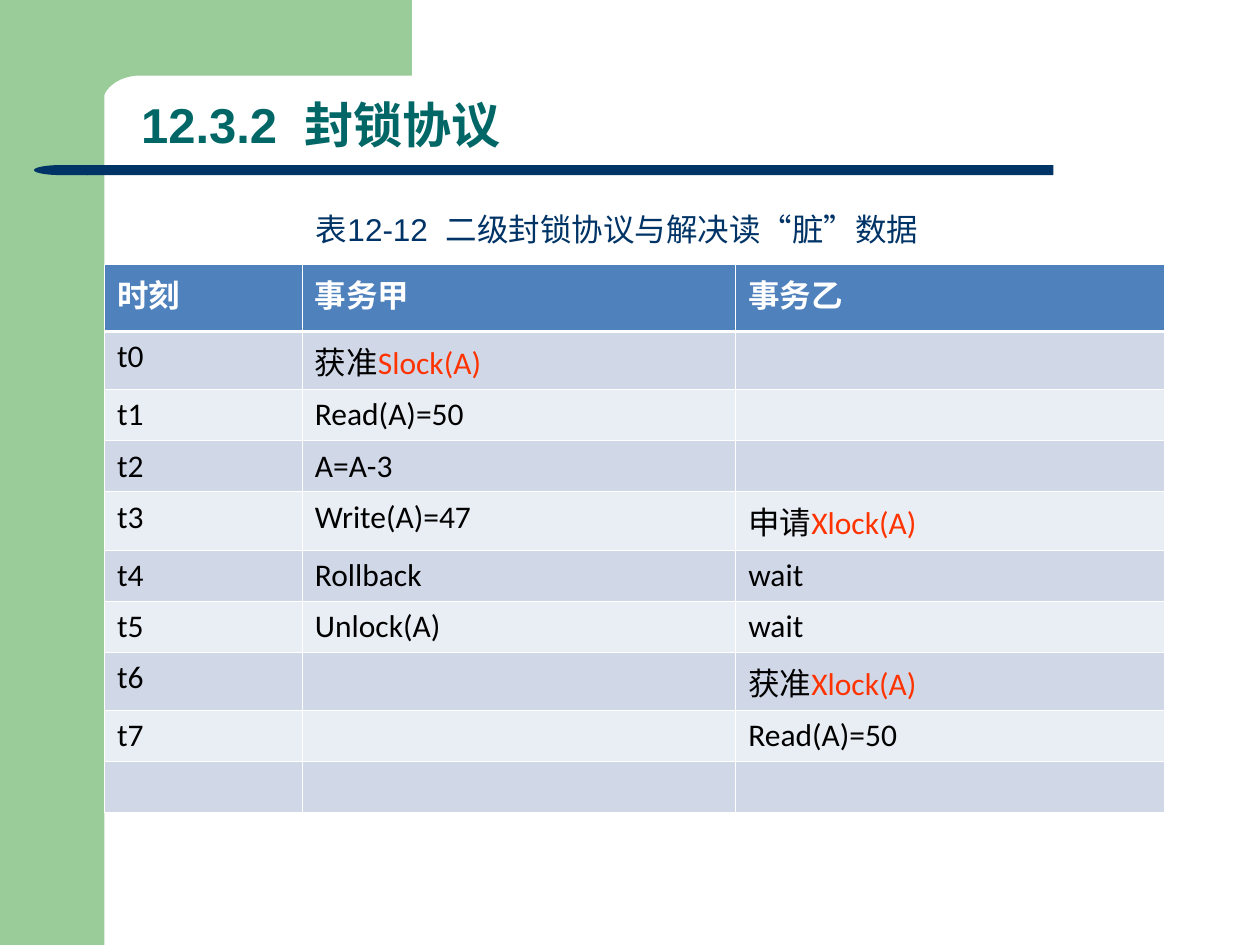
import math

from lxml import etree
from pptx import Presentation
from pptx.dml.color import RGBColor
from pptx.enum.shapes import MSO_SHAPE
from pptx.enum.text import MSO_ANCHOR, MSO_AUTO_SIZE, PP_ALIGN
from pptx.oxml.ns import qn
from pptx.util import Inches, Pt

RECTANGLE = MSO_SHAPE.RECTANGLE
ROUNDED = MSO_SHAPE.ROUNDED_RECTANGLE
DELAY = MSO_SHAPE.FLOWCHART_DELAY
BOTTOM = MSO_ANCHOR.BOTTOM
LEFT = PP_ALIGN.LEFT
FIXED = MSO_AUTO_SIZE.NONE
GROW = MSO_AUTO_SIZE.SHAPE_TO_FIT_TEXT

WIDTH, HEIGHT = Inches(10), Inches(7.5)
COLUMNS, ROWS = 100, 75
GREEN, NAVY, TEAL, WHITE = "99CC99", "003366", "006666", "FFFFFF"
BLACK, RED, HEADER = "000000", "FF3300", "4F81BD"
BANDS = ["D0D8E8", "E9EDF4"]

TITLE = "12.3.2  封锁协议"
CAPTION = "表12-12  二级封锁协议与解决读“脏”数据"
SCHEDULE = [
    ["时刻", "事务甲", "事务乙"],
    ["t0", "获准|Slock(A)", ""],
    ["t1", "Read(A)=50", ""],
    ["t2", "A=A-3", ""],
    ["t3", "Write(A)=47", "申请|Xlock(A)"],
    ["t4", "Rollback", "wait"],
    ["t5", "Unlock(A)", "wait"],
    ["t6", "", "获准|Xlock(A)"],
    ["t7", "", "Read(A)=50"],
    ["", "", ""],
]


def color(value):
    return RGBColor.from_string(value)


def across(columns):
    return round(WIDTH * columns / COLUMNS)


def down(rows):
    return round(HEIGHT * rows / ROWS)


def area(box):
    left, top, width, height = box
    return across(left), down(top), across(width), down(height)


def format_font(font, fill, **values):
    font.color.rgb = color(fill)
    for name, value in values.items():
        setattr(font, name, value)


def paint(shape, fill):
    shape.shadow.inherit = False
    shape.fill.solid()
    shape.fill.fore_color.rgb = color(fill)
    shape.line.fill.background()


def add_block(shapes, kind, box, fill):
    shape = shapes.add_shape(kind, *area(box))
    paint(shape, fill)
    return shape


def place_corner(slide, box):
    left, top, width, height = box
    right, bottom = left + width, top + height
    inner_left, inner_top, radius_x, radius_y = left + 3.1, top + 6, 3, 2.3
    angles = [math.radians(degree) for degree in range(0, 91, 6)]
    arc = [
        (inner_left + radius_x * (1 - math.sin(angle)),
         inner_top + radius_y * (1 - math.cos(angle)))
        for angle in angles
    ]
    outline = [(right, inner_top), *arc, (inner_left, bottom), (left, bottom), (left, top)]
    builder = slide.shapes.build_freeform(across(right), down(top))
    builder.add_line_segments([(across(x), down(y)) for x, y in outline], close=True)
    paint(builder.convert_to_shape(), GREEN)


def place_rule(slide, box):
    left, top, width, height = box
    cap = 4.3
    group = slide.shapes.add_group_shape()
    bar = add_block(group.shapes, ROUNDED, (left + cap - 0.1, top, width - cap + 0.1, height), NAVY)
    bar.adjustments[0] = 0
    end = add_block(group.shapes, DELAY, (left, top, cap, height), NAVY)
    end._element.spPr.find(qn("a:xfrm")).set("flipH", "1")


def place_title(slide, box):
    title = slide.shapes.title
    title.left, title.top, title.width, title.height = area(box)
    slide.shapes._spTree.append(title._element)
    frame = title.text_frame
    frame.text = TITLE
    frame.vertical_anchor, frame.auto_size, frame.word_wrap = BOTTOM, FIXED, True
    paragraph = frame.paragraphs[0]
    paragraph.alignment, paragraph.line_spacing = LEFT, 0.9
    format_font(paragraph.runs[0].font, TEAL, name="Arial", size=Pt(28), bold=True)


def place_caption(slide, box):
    frame = slide.shapes.add_textbox(*area(box)).text_frame
    frame.word_wrap, frame.auto_size = False, GROW
    frame.text = CAPTION
    format_font(frame.paragraphs[0].runs[0].font, NAVY, name="Arial", size=Pt(18))


def add_borders(cell, widths):
    properties = cell._tc.get_or_add_tcPr()
    for side, width in widths.items():
        line = etree.SubElement(properties, qn(f"a:ln{side}"), w=str(Pt(width)))
        fill = etree.SubElement(line, qn("a:solidFill"))
        etree.SubElement(fill, qn("a:srgbClr"), val=WHITE)


def fill_cell(cell, text, row):
    thin, thick = 0.45, 1.47
    is_header = row == 0
    add_borders(cell, {
        "L": thin, "R": thin,
        "T": thick if row == 1 else thin,
        "B": thick if is_header else thin,
    })
    cell.fill.solid()
    cell.fill.fore_color.rgb = color(HEADER if is_header else BANDS[(row - 1) % 2])
    paragraph = cell.text_frame.paragraphs[0]
    parts = text.split("|") if text else []
    for part, ink in zip(parts, [WHITE if is_header else BLACK, RED]):
        run = paragraph.add_run()
        run.text = part
        format_font(run.font, ink, name="Calibri", size=Pt(18), bold=is_header)


def place_schedule(slide, box):
    widths, header_height = [15.7, 34.4, 34], 5.3
    body_height = (box[3] - header_height) / (len(SCHEDULE) - 1)
    table = slide.shapes.add_table(len(SCHEDULE), len(widths), *area(box)).table
    for column, width in zip(table.columns, widths):
        column.width = across(width)
    for row, texts in enumerate(SCHEDULE):
        table.rows[row].height = down(body_height if row else header_height)
        for column, text in enumerate(texts):
            fill_cell(table.cell(row, column), text, row)


def main():
    presentation = Presentation()
    presentation.slide_width, presentation.slide_height = WIDTH, HEIGHT
    slide = presentation.slides.add_slide(presentation.slide_layouts[5])
    add_block(slide.shapes, RECTANGLE, (0, 0, 8.3, ROWS), GREEN)
    place_corner(slide, (5, 0, 27.7, 9.1))
    place_rule(slide, (2.7, 13.1, 80.9, 0.8))
    place_title(slide, (10.2, 7.2, 81.9, 5.5))
    place_schedule(slide, (8.3, 21, 84.1, 41.5))
    place_caption(slide, (24.1, 16.2, 51, 4))
    presentation.save("out.pptx")


if __name__ == "__main__":
    main()
